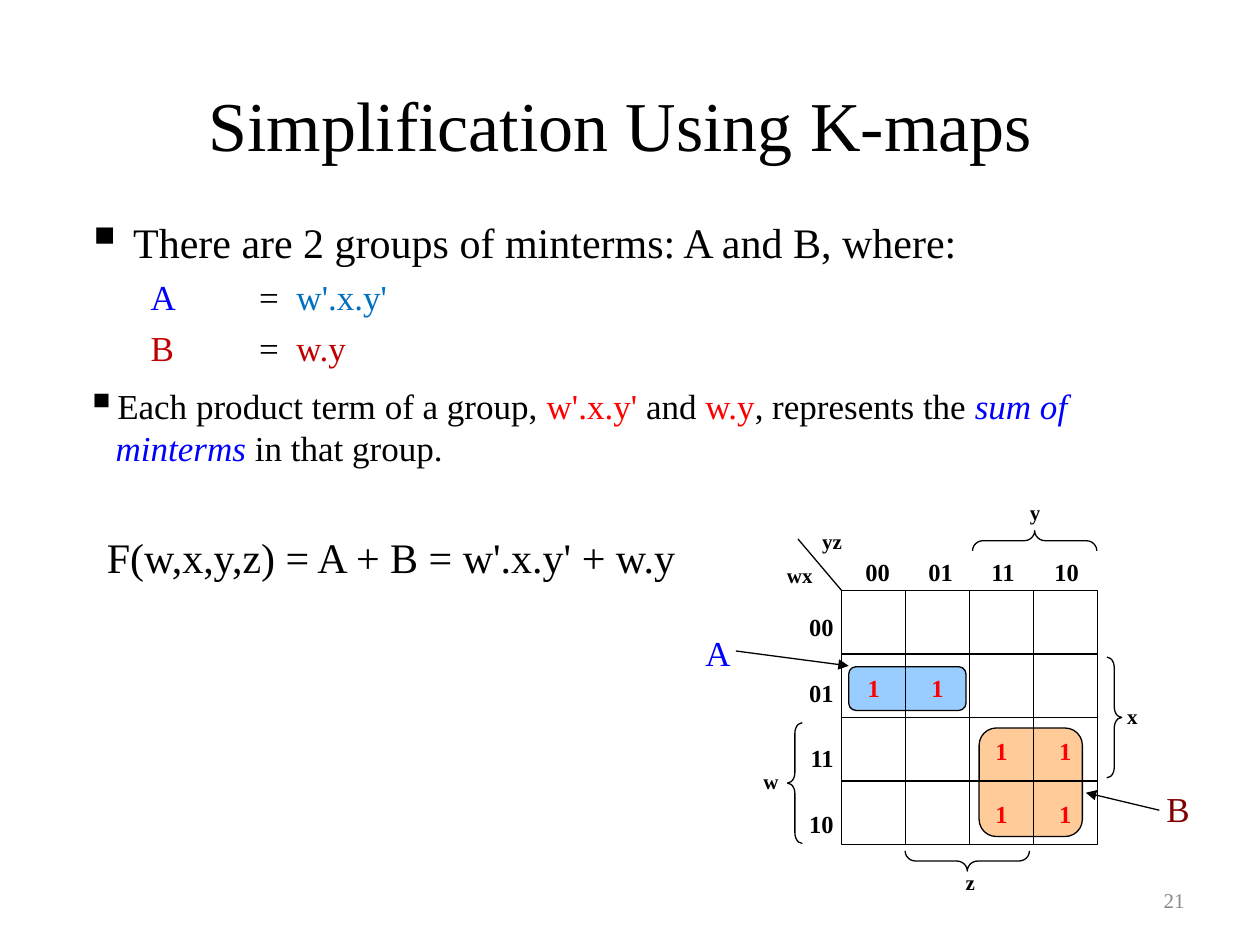
import dataclasses

import pptx
import pptx.dml.color
import pptx.enum.shapes
import pptx.enum.text
import pptx.oxml.ns
import pptx.util
from lxml import etree

Pt = pptx.util.Pt
ALIGN = pptx.enum.text.PP_ALIGN
ANCHOR = pptx.enum.text.MSO_ANCHOR
SHAPE = pptx.enum.shapes.MSO_SHAPE


@dataclasses.dataclass(frozen=True)
class Theme:
    """Colours, sizes and font of the slide."""
    font: str = "Times New Roman"
    ink: str = "000000"
    blue: str = "0000FF"
    sky: str = "0070C0"
    crimson: str = "C00000"
    red: str = "FF0000"
    maroon: str = "800000"
    grey: str = "898989"
    fill_a: str = "99CCFF"
    fill_b: str = "FFCC99"
    title: int = 40
    lead: int = 24
    body: int = 20
    cell: int = 14
    label: int = 12
    line: float = 0.75


T = Theme()


def rgb(value):
    """Turn a hex string into a colour."""
    return pptx.dml.color.RGBColor.from_string(value)


def sub(parent, tag, **attrs):
    """Append a DrawingML child element."""
    return etree.SubElement(parent, pptx.oxml.ns.qn(tag), attrs)


def write(tf, text, size=T.body, color=T.ink, bold=False, align=ALIGN.LEFT, before=0,
          spacing=None, left=0, first=0, bullet=False, tabs=()):
    """Add a paragraph of plain text or of (text, colour, italic) runs."""
    p = tf.paragraphs[0]
    if p.runs:
        p = tf.add_paragraph()
    p.alignment = align
    p.space_before = Pt(before)
    if spacing:
        p.line_spacing = spacing
    runs = [(text, color, False)] if isinstance(text, str) else text
    for content, tint, italic in runs:
        r = p.add_run()
        r.text = content
        r.font.name = T.font
        r.font.size = Pt(size)
        r.font.bold = bold
        r.font.italic = italic
        r.font.color.rgb = rgb(tint)
    pPr = p._p.get_or_add_pPr()
    pPr.set("marL", str(Pt(left)))
    pPr.set("indent", str(Pt(first)))
    if bullet:
        sub(sub(pPr, "a:buClr"), "a:srgbClr", val=T.ink)
        sub(pPr, "a:buSzPct", val="120000")
        sub(pPr, "a:buChar", char="▪")
    if tabs:
        stops = sub(pPr, "a:tabLst")
        for stop in tabs:
            sub(stops, "a:tab", pos=str(Pt(stop)), algn="l")


def frame(shapes, box, anchor=ANCHOR.TOP):
    """Add an empty wrapping text box and return its text frame."""
    tf = shapes.add_textbox(*map(Pt, box)).text_frame
    tf.word_wrap = True
    tf.vertical_anchor = anchor
    return tf


def outline(shapes, kind, box, fill=None, rotation=0):
    """Add a preset shape with a thin outline."""
    sp = shapes.add_shape(kind, *map(Pt, box))
    sp.shadow.inherit = False
    sp.rotation = rotation
    sp.line.color.rgb = rgb(T.ink)
    sp.line.width = Pt(T.line)
    if fill:
        sp.fill.solid()
        sp.fill.fore_color.rgb = rgb(fill)
    else:
        sp.fill.background()
    return sp


def line(shapes, x1, y1, x2, y2, arrow=False):
    """Add a straight line, with an arrowhead at its end on request."""
    c = shapes.add_connector(pptx.enum.shapes.MSO_CONNECTOR.STRAIGHT, *map(Pt, (x1, y1, x2, y2)))
    c.line.color.rgb = rgb(T.ink)
    c.line.width = Pt(T.line)
    if arrow:
        sub(c.line._get_or_add_ln(), "a:tailEnd", type="triangle")
    sub(c._element.spPr, "a:effectLst")


def title(s, box):
    """Place and fill the title placeholder."""
    sp = s.shapes.title
    sp.left, sp.top, sp.width, sp.height = map(Pt, box)
    sp.text_frame.vertical_anchor = ANCHOR.MIDDLE
    write(sp.text_frame, "Simplification Using K-maps", size=T.title, align=ALIGN.CENTER)


def explanation(s, box):
    """Place the groups, the remark on product terms and the result."""
    x, y, w, h = box
    tf = frame(s.shapes, (x, y, w, 95))
    write(tf, "There are 2 groups of minterms: A and B, where:", size=T.lead, before=6,
          left=27, first=-27, bullet=True)
    for name, term, tint, term_tint in (("A", "w'.x.y'", T.blue, T.sky),
                                        ("B", "w.y", T.crimson, T.crimson)):
        write(tf, [(name + "\t", tint, False), ("=  ", T.ink, False), (term, term_tint, False)],
              before=5, left=99, first=-62)
    write(frame(s.shapes, (x, y + 96, w, 56)),
          [("Each product term of a group, ", T.ink, False), ("w'.x.y' ", T.red, False),
           ("and ", T.ink, False), ("w.y", T.red, False), (", represents the ", T.ink, False),
           ("sum of minterms", T.blue, True), (" in that group.", T.ink, False)],
          left=17, first=-17, bullet=True)
    write(frame(s.shapes, (x + 12, y + h - 36, 360, 36)),
          "F(w,x,y,z) = A + B = w'.x.y' + w.y", size=T.lead)


def kmap(s, box):
    """Draw the Karnaugh map with its grid filling the box."""
    x, y, w, h = box
    cw, ch = w / 4, h / 4
    shapes = s.shapes.add_group_shape().shapes

    def at(dx, dy, *size):
        return (x + dx, y + dy, *size)

    outline(shapes, SHAPE.FLOWCHART_ALTERNATE_PROCESS, at(78.5, 78.5, 59, 62), T.fill_b)
    outline(shapes, SHAPE.FLOWCHART_ALTERNATE_PROCESS, at(4, 43.5, 67, 25), T.fill_a)
    outline(shapes, SHAPE.RECTANGLE, box)
    for i in range(1, 4):
        line(shapes, x, y + i * ch, x + w, y + i * ch)
        line(shapes, x + i * cw, y, x + i * cw, y + h)
    line(shapes, *at(0, 0), *at(-25, -29.5))
    line(shapes, *at(-60.5, 34.5), *at(4, 43), arrow=True)
    line(shapes, *at(181.5, 125.5), *at(139.5, 115.5), arrow=True)

    for row, col in ((1, 0), (1, 1), (2, 2), (2, 3), (3, 2), (3, 3)):
        write(frame(shapes, at(col * cw, row * ch + 7, cw, 29)), "1", size=T.cell,
              color=T.red, bold=True, align=ALIGN.CENTER)

    codes = ("00", "01", "11", "10")
    write(frame(shapes, at(6.5, -23, 149, 29)), "\t".join(codes), size=T.cell, bold=True,
          tabs=(37, 74, 111))
    tf = frame(shapes, at(-37, 7, 39.5, 150))
    for i, code in enumerate(codes):
        write(tf, code, size=T.cell, bold=True, align=ALIGN.RIGHT, spacing=1.1,
              before=19 if i else 0)

    for kind, place, rotation in ((SHAPE.LEFT_BRACE, (-31, 75.5, 8.5, 69), 0),
                                  (SHAPE.RIGHT_BRACE, (151.5, 38, 8.5, 69), 0),
                                  (SHAPE.LEFT_BRACE, (104.5, -64, 11.5, 71), 90),
                                  (SHAPE.LEFT_BRACE, (66, 119, 11.5, 71), 270)):
        outline(shapes, kind, at(*place), rotation=rotation).adjustments[0] = 6 / place[2]

    for name, place in (("w", (-54, 98, 27, 29)), ("x", (152.5, 61, 27, 29)),
                        ("y", (97, -55.5, 27, 22)), ("z", (60, 156, 27, 22)),
                        ("wx", (-43, -19.5, 38, 26)), ("yz", (-21.5, -39, 32, 23))):
        write(frame(shapes, at(*place)), name, size=T.label, bold=True, align=ALIGN.CENTER)
    for name, tint, place in (("A", T.blue, (-85, 20, 24.5, 36)),
                              ("B", T.maroon, (178.5, 109, 24.5, 36))):
        write(frame(shapes, at(*place)), name, color=tint, align=ALIGN.CENTER)


def page_number(s, box):
    """Place the page number."""
    write(frame(s.shapes, box, ANCHOR.MIDDLE), "21", size=T.label, color=T.grey,
          align=ALIGN.RIGHT)


def main():
    """Build and save the slide."""
    prs = pptx.Presentation()
    prs.slide_width, prs.slide_height = Pt(720), Pt(540)
    s = prs.slides.add_slide(prs.slide_layouts[5])
    title(s, (48, 30, 613, 81))
    explanation(s, (42, 120, 627, 216))
    kmap(s, (481, 337.5, 146, 145))
    page_number(s, (516, 500, 168, 29))
    prs.save("out.pptx")


if __name__ == "__main__":
    main()
